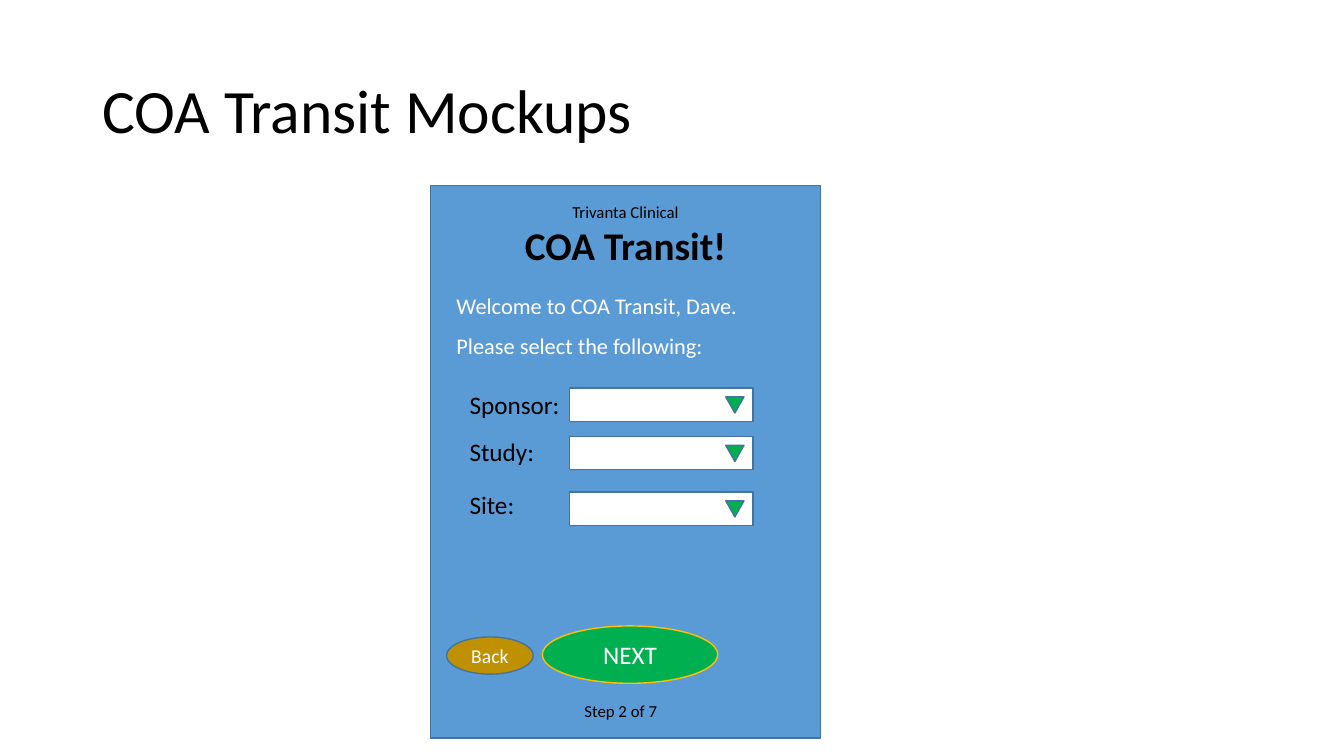
"""Build the mockup slide of the study selection screen."""
from pptx import Presentation
from pptx import util as u
from pptx.dml.color import RGBColor
from pptx.enum import shapes, text

COLORS = {"black": "000000", "white": "FFFFFF", "panel": "5B9BD5",
          "edge": "43739E", "green": "00B050", "gold": "FFC000",
          "brown": "BF9000"}
FONT = "Calibri"
LEFT, CENTER = text.PP_ALIGN.LEFT, text.PP_ALIGN.CENTER
TOP, MIDDLE = text.MSO_ANCHOR.TOP, text.MSO_ANCHOR.MIDDLE
KIND = shapes.MSO_SHAPE

TITLE = [("COA Transit Mockups", 44, False)]
HEADER = [("Trivanta Clinical", 12, False), ("COA Transit!", 28, True)]
WELCOME = [("Welcome to COA Transit, Dave.", 16, False),
           ("Please select the following:", 16, False)]
STEP = [("Step 2 of 7", 12, False)]
FIELDS = [("Sponsor:", 274.3, 277.2), ("Study:", 308.2, 311.8),
          ("Site:", 346.3, 351.4)]
BUTTONS = [("NEXT", 18, (387.4, 447.1, 125.3, 41), "green", "gold"),
           ("Back", 14, (319, 455, 61.9, 26.6), "brown", "edge")]
PANEL = (307.4, 132.5, 278.6, 394.6)
FIELD_LEFT, FIELD_WIDTH, FIELD_HEIGHT = 406.8, 131, 23.8
ARROW_LEFT, ARROW_WIDTH, ARROW_HEIGHT, ARROW_DROP = 518.4, 13, 11.5, 6.3


def rgb(name):
    return RGBColor.from_string(COLORS[name])


def write(sp, lines, color="black", align=LEFT, anchor=TOP, wrap=True,
          spacing=1.0, gap=0):
    tf = sp.text_frame
    tf.word_wrap = wrap
    tf.vertical_anchor = anchor
    for i, (words, size, bold) in enumerate(lines):
        p = tf.add_paragraph() if i else tf.paragraphs[0]
        p.alignment = align
        p.line_spacing = spacing
        p.space_before = u.Pt(gap if i else 0)
        r = p.add_run()
        r.text = words
        r.font.name, r.font.size, r.font.bold = FONT, u.Pt(size), bold
        r.font.color.rgb = rgb(color)


def add_text(s, box, lines, **style):
    write(s.shapes.add_textbox(*map(u.Pt, box)), lines, **style)


def add_shape(s, kind, box, fill, line="edge"):
    sp = s.shapes.add_shape(kind, *map(u.Pt, box))
    sp.shadow.inherit = False
    sp.fill.solid()
    sp.fill.fore_color.rgb = rgb(fill)
    sp.line.color.rgb = rgb(line)
    sp.line.width = u.Pt(1)
    return sp


prs = Presentation()
prs.slide_width, prs.slide_height = u.Pt(960), u.Pt(540)
s = prs.slides.add_slide(prs.slide_layouts[6])

add_text(s, (66, 28.8, 828, 104.4), TITLE, anchor=MIDDLE, spacing=0.9)
add_shape(s, KIND.RECTANGLE, PANEL, "panel")
add_text(s, (362.2, 140.4, 169.2, 55.4), HEADER, align=CENTER, wrap=False)
add_text(s, (319, 205.2, 249.8, 55.4), WELCOME, color="white", gap=9.5)
add_text(s, (410.4, 496.8, 67, 21.6), STEP, wrap=False)

for label, label_top, field_top in FIELDS:
    add_text(s, (328.3, label_top, 79.2, 28.8), [(label, 18, False)], wrap=False)
    add_shape(s, KIND.RECTANGLE,
              (FIELD_LEFT, field_top, FIELD_WIDTH, FIELD_HEIGHT), "white")
    arrow = add_shape(s, KIND.ISOSCELES_TRIANGLE,
                      (ARROW_LEFT, field_top + ARROW_DROP,
                       ARROW_WIDTH, ARROW_HEIGHT), "green")
    arrow.rotation = 180

for label, size, box, fill, line in BUTTONS:
    button = add_shape(s, KIND.OVAL, box, fill, line)
    write(button, [(label, size, False)], "white", CENTER, MIDDLE)

prs.save("out.pptx")
